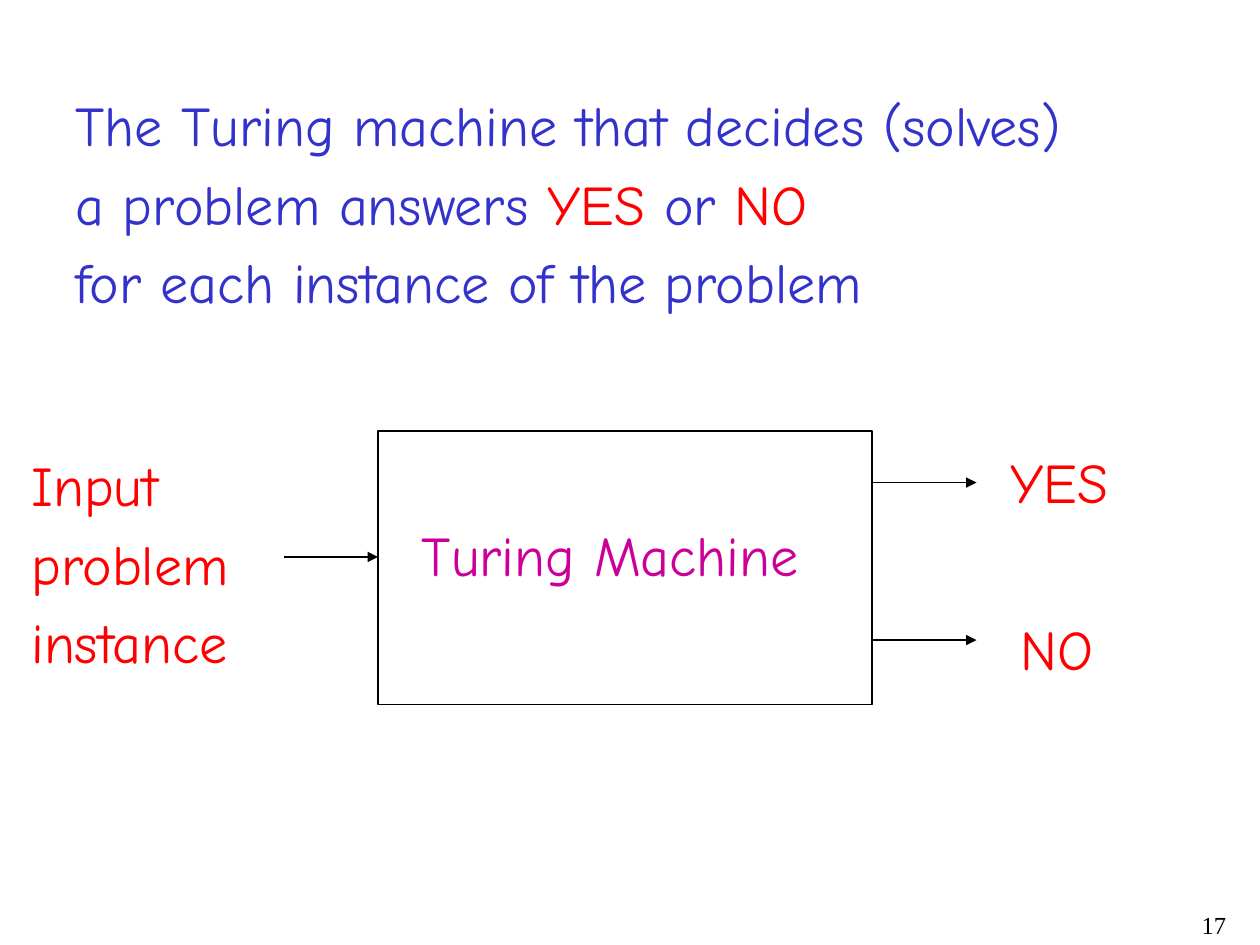
from lxml import etree
from pptx import Presentation
from pptx import util as u
from pptx.dml.color import RGBColor
from pptx.enum import shapes, text
from pptx.oxml.ns import qn

BLACK = RGBColor(0x00, 0x00, 0x00)
RED = RGBColor(0xFF, 0x00, 0x00)
BLUE = RGBColor(0x33, 0x33, 0xCC)
MAGENTA = RGBColor(0xCC, 0x00, 0x99)
FONT = "Comic Neue"


def add_text(page, box, lines, size=32, font=FONT, wrap=False,
             align=text.PP_ALIGN.LEFT):
    """Each line is a list of (words, colour) spans."""
    frame = page.shapes.add_textbox(*map(u.Inches, box)).text_frame
    frame.word_wrap = wrap
    if not wrap:
        frame.auto_size = text.MSO_AUTO_SIZE.SHAPE_TO_FIT_TEXT
    for index, line in enumerate(lines):
        para = frame.add_paragraph() if index else frame.paragraphs[0]
        para.alignment = align
        if index:
            para.space_before = u.Pt(size * 0.2)
        for words, colour in line:
            span = para.add_run()
            span.text = words
            span.font.name = font
            span.font.size = u.Pt(size)
            span.font.color.rgb = colour


def add_arrow(page, left, right, y):
    arrow = page.shapes.add_connector(
        shapes.MSO_CONNECTOR.STRAIGHT,
        u.Inches(left), u.Inches(y), u.Inches(right), u.Inches(y))
    arrow.line.color.rgb = BLACK
    arrow.line.width = u.Pt(0.75)
    etree.SubElement(arrow.line._get_or_add_ln(), qn("a:tailEnd"), type="triangle")
    etree.SubElement(arrow._element.spPr, qn("a:effectLst"))


def add_statement(page, box):
    add_text(page, box, [
        [("The Turing machine that decides (solves)", BLUE)],
        [("a problem answers ", BLUE), ("YES", RED), (" or ", BLUE), ("NO", RED)],
        [("for each instance of the problem", BLUE)],
    ])


def add_machine_diagram(page, box):
    left, top, width, height = box
    right = left + width

    # Machine
    machine = page.shapes.add_shape(
        shapes.MSO_SHAPE.RECTANGLE, *map(u.Inches, box))
    machine.shadow.inherit = False
    machine.fill.background()
    machine.line.color.rgb = BLACK
    machine.line.width = u.Pt(0.75)
    add_text(page, (left + 0.25, top + 0.66, 3.38, 0.63),
             [[("Turing Machine", MAGENTA)]])

    # Input
    add_text(page, (left - 2.85, top + 0.11, 1.92, 1.91),
             [[(word, RED)] for word in ("Input", "problem", "instance")])
    add_arrow(page, left - 0.75, left, top + 1)

    # Answers: word, arrow drop, label offset, label drop, label width
    for word, arrow_drop, offset, label_drop, label_width in (
            ("YES", 0.41, 1.0, 0.08, 1.07),
            ("NO", 1.66, 1.08, 1.41, 0.91)):
        add_arrow(page, right, right + 0.83, top + arrow_drop)
        add_text(page, (right + offset, top + label_drop, label_width, 0.63),
                 [[(word, RED)]])


def add_page_number(page, box):
    add_text(page, box, [[("17", BLACK)]], size=14, font="Times New Roman",
             wrap=True, align=text.PP_ALIGN.RIGHT)


def main():
    deck = Presentation()
    deck.slide_width, deck.slide_height = u.Inches(10), u.Inches(7.5)
    page = deck.slides.add_slide(deck.slide_layouts[6])
    add_page_number(page, (7.75, 7.17, 2.08, 0.33))
    add_machine_diagram(page, (3, 3.42, 3.92, 2.17))
    add_statement(page, (0.5, 0.67, 8.86, 1.91))
    deck.save("out.pptx")


if __name__ == "__main__":
    main()
